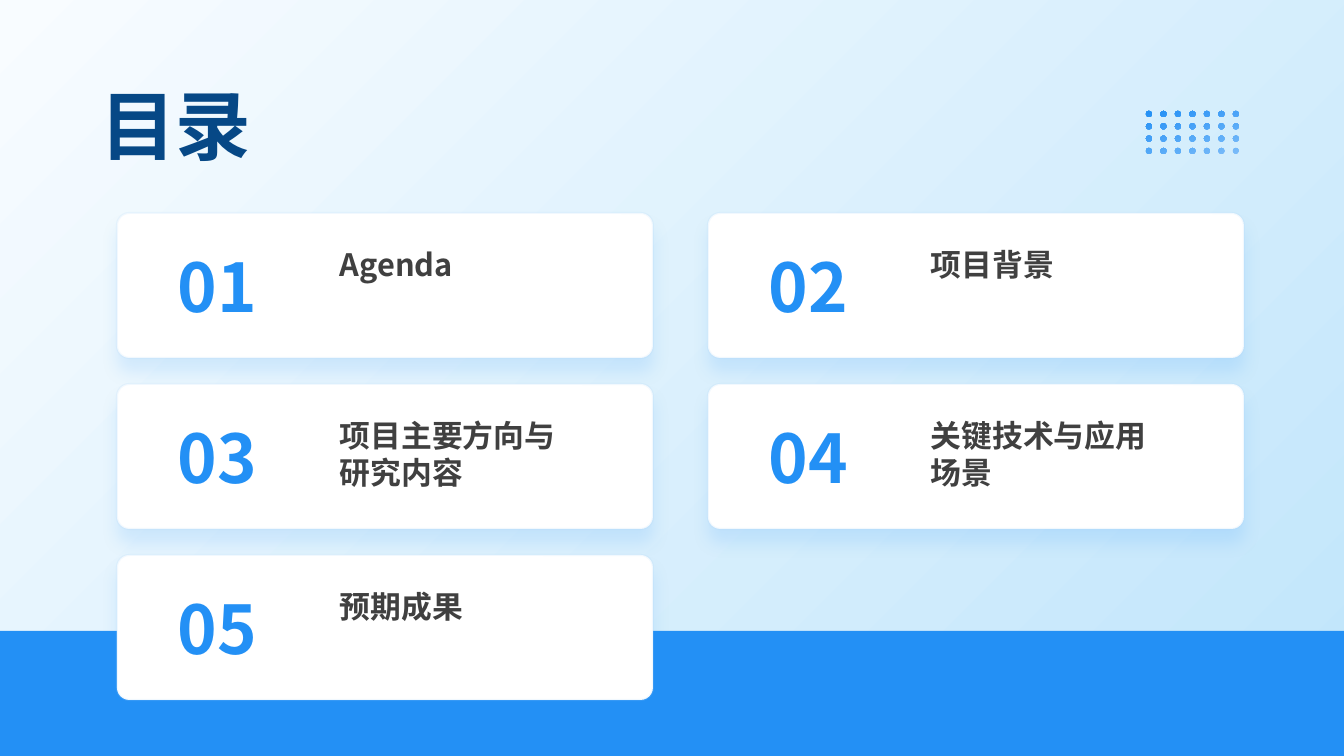
import math

import pptx
import pptx.util
from lxml import etree
from pptx.dml.color import RGBColor
from pptx.enum.shapes import MSO_SHAPE
from pptx.enum.text import MSO_ANCHOR, MSO_AUTO_SIZE, PP_ALIGN
from pptx.oxml.ns import qn

HEADING = "目录"
TOPICS = ["Agenda", "项目背景", "项目主要方向与研究内容", "关键技术与应用场景", "预期成果"]

FONT = "Noto Sans CJK SC"
COLORS = {
    "backdrop": "EEF8FE",
    "sky_start": "F8FCFF",
    "sky_end": "C0E5FB",
    "blue": "2390F5",
    "dot_light": "7BBCF9",
    "card": "FFFFFF",
    "card_edge": "A7D3FB",
    "heading": "064886",
    "topic": "404040",
}

PX = 914400 / 100.8
SLIDE_W, SLIDE_H = 1344, 756
BAND_TOP = 631
HEADING_BOX = (90, 74, 196, 113)
CARD_LEFT, CARD_TOP, CARD_W, CARD_H = 117, 213, 536, 145
COLUMN_STEP, ROW_STEP, COLUMNS = 591, 171, 2
NUMBER_BOX = (34, 23, 133, 100)
TOPIC_BOX = (213, 28, 265, 91)
DOT_LEFT, DOT_TOP, DOT_RADIUS = 1149, 114, 3
DOT_COLUMNS, DOT_ROWS, DOT_SPAN_X, DOT_SPAN_Y = 7, 4, 87, 37
DOT_CORNERS = 16

HEADING_FONT = {"name": FONT, "size": pptx.util.Pt(54), "bold": True}
NUMBER_FONT = {"name": FONT, "size": pptx.util.Pt(48), "bold": True}
TOPIC_FONT = {"name": FONT, "size": pptx.util.Pt(22), "bold": True}
HEADING_FRAME = {
    "word_wrap": True,
    "auto_size": MSO_AUTO_SIZE.NONE,
    "vertical_anchor": MSO_ANCHOR.TOP,
}
NUMBER_FRAME = {
    "word_wrap": False,
    "vertical_anchor": MSO_ANCHOR.MIDDLE,
    "margin_left": 0,
    "margin_top": 0,
    "margin_right": 0,
    "margin_bottom": 0,
}
TOPIC_FRAME = {"word_wrap": True, "vertical_anchor": MSO_ANCHOR.TOP}


def emu(px):
    return pptx.util.Emu(round(px * PX))


def rgb(key):
    return RGBColor.from_string(COLORS[key])


def apply(target, values):
    for attribute, value in values.items():
        setattr(target, attribute, value)


def paint_gradient(area, start, end, angle):
    area.shadow.inherit = False
    area.line.fill.background()
    area.fill.gradient()
    area.fill.gradient_angle = angle
    for stop, key in zip(area.fill.gradient_stops, (start, end)):
        stop.color.rgb = rgb(key)


def write(box, text, frame_values, font_values, color, align=PP_ALIGN.LEFT):
    frame = box.text_frame
    apply(frame, frame_values)
    paragraph = frame.paragraphs[0]
    paragraph.alignment = align
    run = paragraph.add_run()
    run.text = text
    apply(run.font, font_values)
    run.font.color.rgb = rgb(color)
    east_asian = etree.SubElement(run.font._element, qn("a:ea"))
    east_asian.set("typeface", FONT)


def add_alpha(color_element, percent):
    etree.SubElement(color_element, qn("a:alpha")).set("val", str(percent * 1000))


def add_backdrop(slide):
    slide.background.fill.solid()
    slide.background.fill.fore_color.rgb = rgb("backdrop")
    sky = slide.shapes.add_shape(MSO_SHAPE.RECTANGLE, 0, 0, emu(SLIDE_W), emu(SLIDE_H))
    paint_gradient(sky, "sky_start", "sky_end", 315)
    band = slide.shapes.add_shape(
        MSO_SHAPE.RECTANGLE, 0, emu(BAND_TOP), emu(SLIDE_W), emu(SLIDE_H - BAND_TOP)
    )
    band.shadow.inherit = False
    band.line.fill.background()
    band.fill.solid()
    band.fill.fore_color.rgb = rgb("blue")


def dot_outline(column, row):
    center_x = DOT_LEFT + column * DOT_SPAN_X / (DOT_COLUMNS - 1)
    center_y = DOT_TOP + row * DOT_SPAN_Y / (DOT_ROWS - 1)
    turns = [math.tau * corner / DOT_CORNERS for corner in range(DOT_CORNERS)]
    return [
        (
            emu(center_x + DOT_RADIUS * math.cos(turn)),
            emu(center_y + DOT_RADIUS * math.sin(turn)),
        )
        for turn in turns
    ]


def add_dots(slide):
    outlines = [dot_outline(c, r) for r in range(DOT_ROWS) for c in range(DOT_COLUMNS)]
    pen = slide.shapes.build_freeform(*outlines[0][0])
    for outline in outlines:
        pen.move_to(*outline[0])
        pen.add_line_segments(outline[1:], close=True)
    paint_gradient(pen.convert_to_shape(), "dot_light", "blue", 110)


def add_heading(slide):
    heading = slide.shapes.title
    heading.element.getparent().append(heading.element)
    apply(heading, dict(zip(("left", "top", "width", "height"), map(emu, HEADING_BOX))))
    write(heading, HEADING, HEADING_FRAME, HEADING_FONT, "heading")


def add_card_shadow(card):
    card.shadow.inherit = False
    effects = card.element.spPr.find(qn("a:effectLst"))
    shadow = etree.SubElement(effects, qn("a:outerShdw"))
    settings = {
        "blurRad": pptx.util.Pt(12),
        "dist": pptx.util.Pt(10),
        "dir": 90 * 60000,
        "algn": "t",
        "rotWithShape": 0,
    }
    for key, value in settings.items():
        shadow.set(key, str(value))
    tint = etree.SubElement(shadow, qn("a:srgbClr"))
    tint.set("val", COLORS["blue"])
    add_alpha(tint, 12)


def add_card(slide, index, topic):
    row, column = divmod(index, COLUMNS)
    left = CARD_LEFT + column * COLUMN_STEP
    top = CARD_TOP + row * ROW_STEP
    card = slide.shapes.add_shape(
        MSO_SHAPE.ROUNDED_RECTANGLE, *map(emu, (left, top, CARD_W, CARD_H))
    )
    card.adjustments[0] = 0.085
    card.fill.solid()
    card.fill.fore_color.rgb = rgb("card")
    card.line.color.rgb = rgb("card_edge")
    card.line.width = pptx.util.Pt(1.5)
    add_alpha(card.element.spPr.find(qn("a:ln")).find(".//" + qn("a:srgbClr")), 15)
    add_card_shadow(card)

    def place(box):
        x, y, width, height = box
        return slide.shapes.add_textbox(*map(emu, (left + x, top + y, width, height)))

    number = f"{index + 1:02d}"
    write(place(NUMBER_BOX), number, NUMBER_FRAME, NUMBER_FONT, "blue", PP_ALIGN.CENTER)
    write(place(TOPIC_BOX), topic, TOPIC_FRAME, TOPIC_FONT, "topic")


def main():
    deck = pptx.Presentation()
    deck.slide_width, deck.slide_height = emu(SLIDE_W), emu(SLIDE_H)
    slide = deck.slides.add_slide(deck.slide_layouts[5])
    add_backdrop(slide)
    add_dots(slide)
    add_heading(slide)
    for index, topic in enumerate(TOPICS):
        add_card(slide, index, topic)
    deck.save("out.pptx")


if __name__ == "__main__":
    main()
